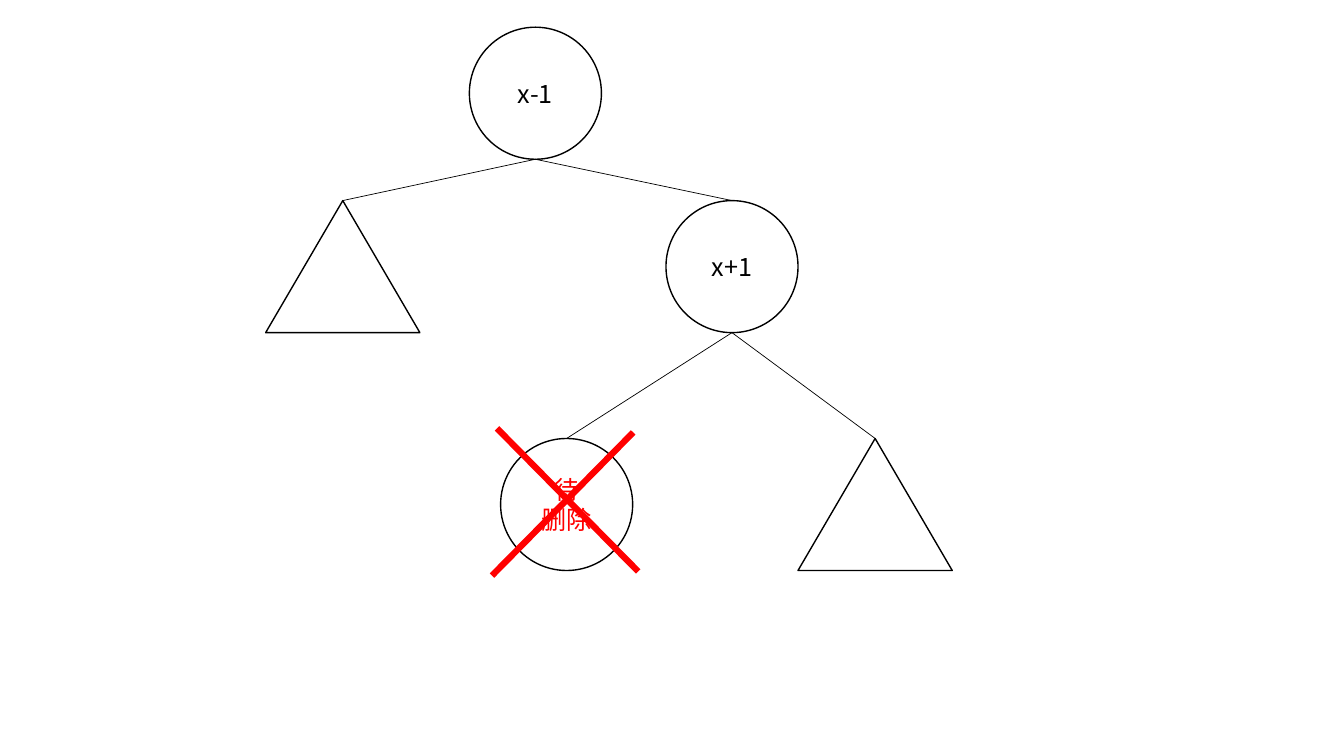
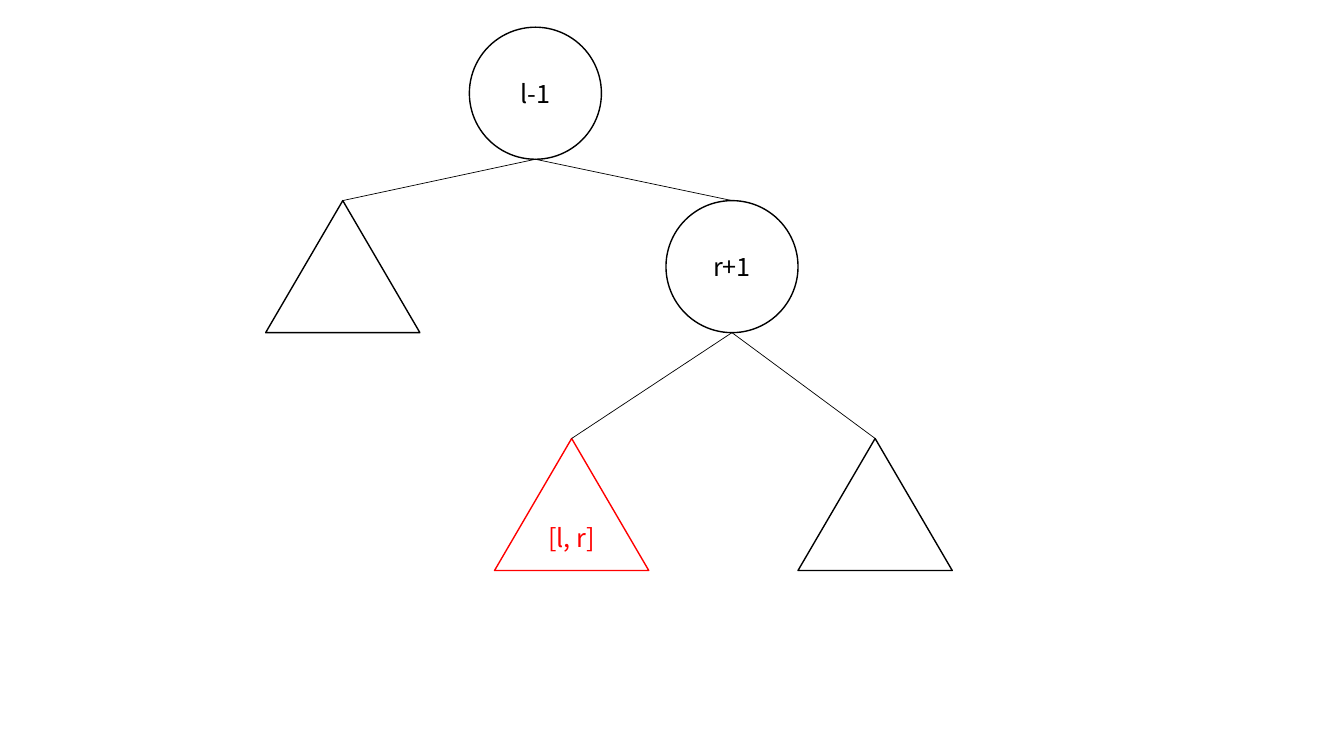
import pptx
import pptx.util
from pptx.dml.color import RGBColor
from pptx.enum.shapes import MSO_CONNECTOR, MSO_SHAPE
from pptx.enum.text import MSO_ANCHOR, PP_ALIGN
from pptx.oxml.ns import qn
from lxml import etree

BLACK = RGBColor(0x00, 0x00, 0x00)
WHITE = RGBColor(0xFF, 0xFF, 0xFF)
RED = RGBColor(0xFF, 0x00, 0x00)
FONT = "Noto Sans CJK SC"
FONT_SIZE = 18
EMU_PER_PX = 9144  # 100 px to the inch
SLIDE_SIZE = (1333, 750)

NODE_HEIGHT = 131
NODE_WIDTHS = {"circle": 131, "triangle": 153}
NODE_SHAPES = {"circle": MSO_SHAPE.OVAL,
               "triangle": MSO_SHAPE.ISOSCELES_TRIANGLE}

# Tree shared by the slides: name -> (kind, centre x, top)
TREE = {
    "root": ("circle", 531, 27),
    "root left": ("triangle", 340, 199),
    "right": ("circle", 726, 199),
    "right right": ("triangle", 868, 435),
}
EDGES = [("root", "root left"), ("root", "right"),
         ("right", "target"), ("right", "right right")]

SLIDES = [
    {
        "labels": {"root": ["x-1"], "right": ["x+1"], "target": ["待", "删除"]},
        "target": ("circle", 562, 435),
        "outline": BLACK,
        "cross": [((493, 425), (633, 567)), ((628, 429), (488, 571))],
    },
    {
        "labels": {"root": ["l-1"], "right": ["r+1"], "target": ["[l, r]"]},
        "target": ("triangle", 567, 435),
        "outline": RED,
        "cross": [],
    },
]


def px(n):
    return pptx.util.Emu(round(n * EMU_PER_PX))


def add_node(s, node, lines, outline, text_color):
    kind, cx, top = node
    width = NODE_WIDTHS[kind]
    sp = s.shapes.add_shape(NODE_SHAPES[kind], px(cx - width / 2), px(top),
                            px(width), px(NODE_HEIGHT))
    sp.shadow.inherit = False
    sp.fill.solid()
    sp.fill.fore_color.rgb = WHITE
    sp.line.color.rgb = outline
    sp.line.width = pptx.util.Pt(1)
    tf = sp.text_frame
    tf.vertical_anchor = MSO_ANCHOR.MIDDLE
    for i, line in enumerate(lines):
        p = tf.add_paragraph() if i else tf.paragraphs[0]
        p.alignment = PP_ALIGN.CENTER
        r = p.add_run()
        r.text = line
        r.font.size = pptx.util.Pt(FONT_SIZE)
        r.font.name = FONT
        r.font.color.rgb = text_color
        ea = etree.SubElement(r.font._element, qn("a:ea"))
        ea.set("typeface", FONT)


def add_line(s, start, end, color, width):
    ln = s.shapes.add_connector(MSO_CONNECTOR.STRAIGHT,
                                *(px(n) for n in (*start, *end)))
    ln.line.color.rgb = color
    ln.line.width = pptx.util.Pt(width)
    etree.SubElement(ln._element.spPr, qn("a:effectLst"))


def add_tree(prs, content):
    s = prs.slides.add_slide(prs.slide_layouts[6])
    nodes = {**TREE, "target": content["target"]}
    for name, node in nodes.items():
        is_target = name == "target"
        add_node(s, node, content["labels"].get(name, []),
                 content["outline"] if is_target else BLACK,
                 RED if is_target else BLACK)
    for parent, child in EDGES:
        _, parent_x, parent_top = nodes[parent]
        _, child_x, child_top = nodes[child]
        add_line(s, (parent_x, parent_top + NODE_HEIGHT),
                 (child_x, child_top), BLACK, 0.5)
    for start, end in content["cross"]:
        add_line(s, start, end, RED, 4.5)


def main():
    prs = pptx.Presentation()
    prs.slide_width, prs.slide_height = (px(n) for n in SLIDE_SIZE)
    for content in SLIDES:
        add_tree(prs, content)
    prs.save("out.pptx")


if __name__ == "__main__":
    main()
